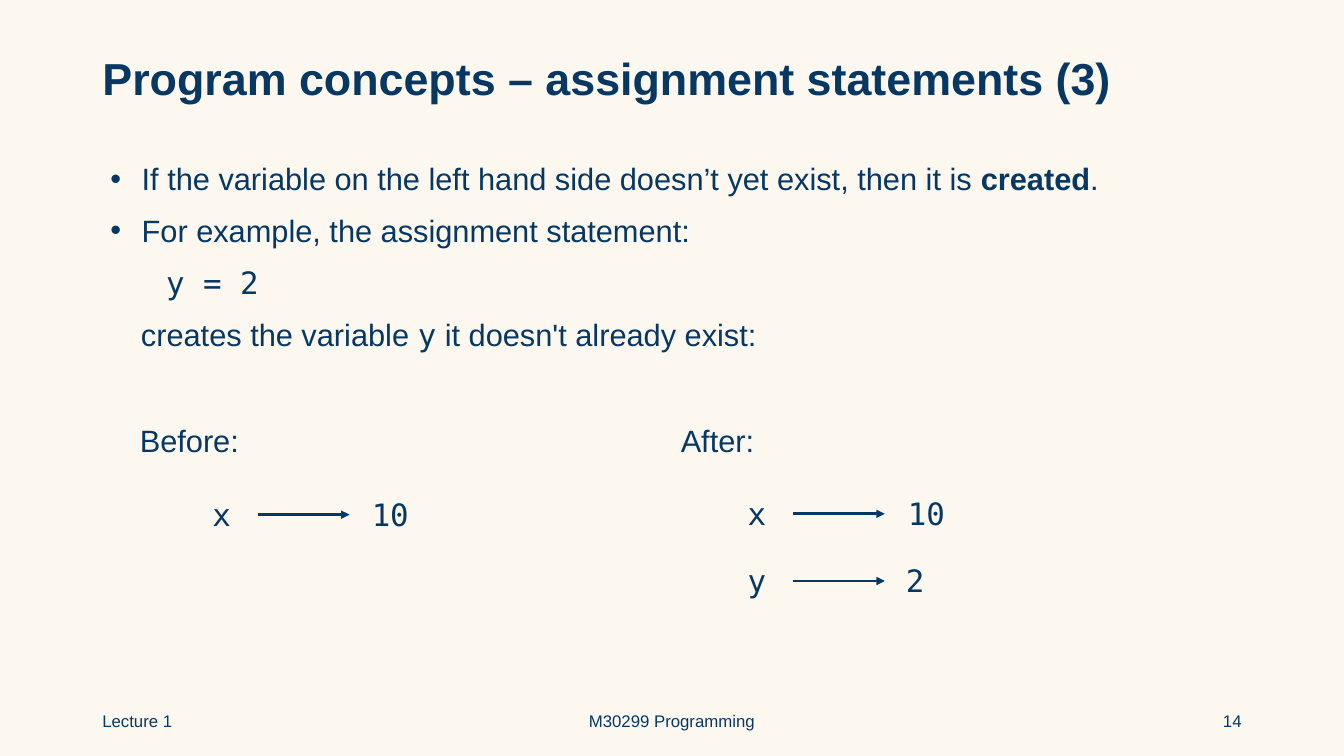
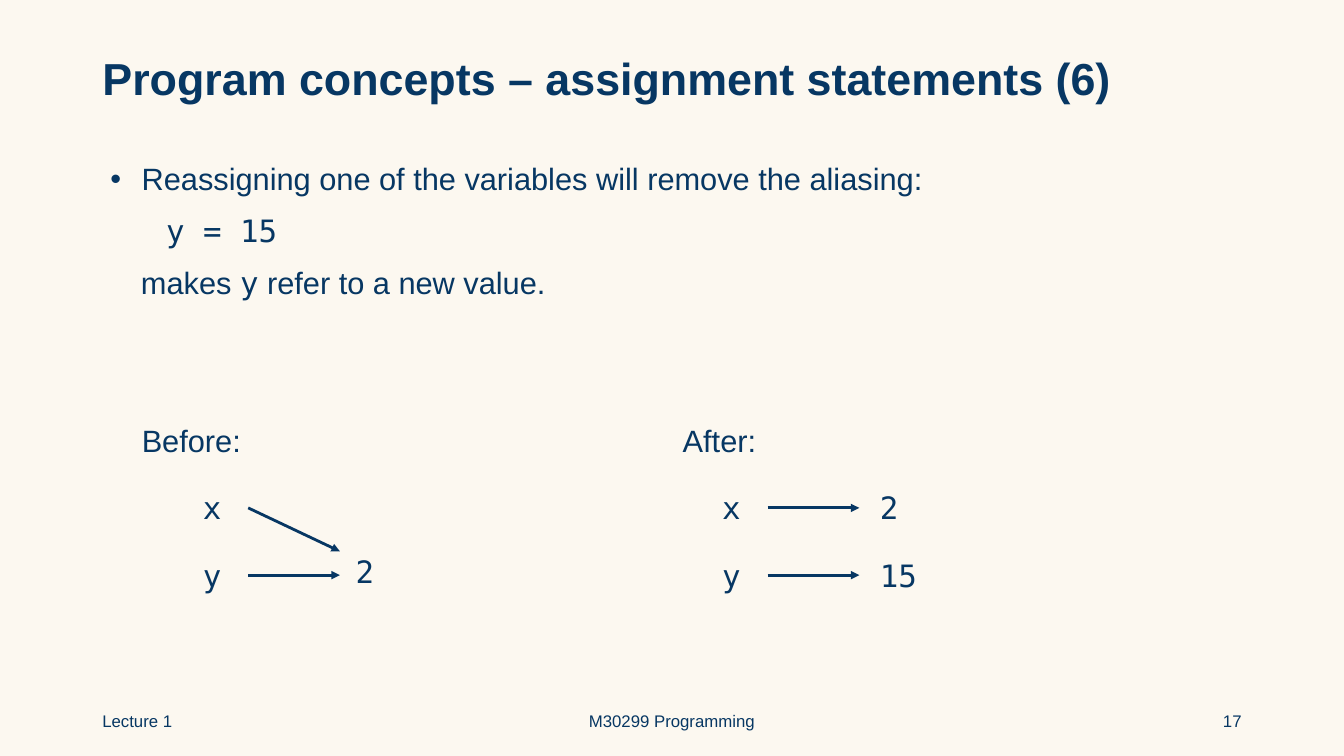
"""Builds two lecture slides on assignment statements."""
from lxml.etree import SubElement
from pptx import Presentation
from pptx.dml.color import RGBColor
from pptx.enum.shapes import MSO_CONNECTOR
from pptx.enum.text import MSO_ANCHOR, MSO_AUTO_SIZE, PP_ALIGN
from pptx.oxml.ns import qn
from pptx.util import Pt

NAVY, CREAM = "073763", "FCF8F0"
SANS, MONO = "Arial", "DejaVu Sans Mono"
TEXT_SIZE = 22
TITLE_BOX = (66, 29, 828, 57)
BODY_BOX = (66, 108, 828, 378)
FOOTER_TOP, FOOTER_HEIGHT = 500.4, 28.8
LABEL_TOP, ROW_GAP = 298, 48
TERM_WIDTH, TERM_HEIGHT = 86.4, 33.8
ARROW_OFFSET, ARROW_LENGTH, ARROW_DROP = 39.5, 65.5, 17

INDENTS = {"bullet": (28, -22.3), "code": (45.5, 0), "plain": (27.5, 0)}

SLIDES = [
    {
        "title": "Program concepts – assignment statements (3)",
        "number": "14",
        "body": [
            ("bullet", [("If the variable on the left hand side doesn’t yet exist, then it is ", SANS, False),
                        ("created", SANS, True), (".", SANS, False)]),
            ("bullet", [("For example, the assignment statement:", SANS, False)]),
            ("code", [("y = 2", MONO, False)]),
            ("plain", [("creates the variable ", SANS, False), ("y", MONO, False),
                       (" it doesn't already exist:", SANS, False)]),
        ],
        "states": [
            {"label": "Before:", "label_left": 92.8, "left": 144.7, "top": 350.6,
             "names": ["x"], "values": [("10", 113.8, 0)], "slopes": [0]},
            {"label": "After:", "label_left": 479.2, "left": 527, "top": 350,
             "names": ["x", "y"], "values": [("10", 114.5, 0), ("2", 113, ROW_GAP)], "slopes": [0, 0]},
        ],
    },
    {
        "title": "Program concepts – assignment statements (6)",
        "number": "17",
        "body": [
            ("bullet", [("Reassigning one of the variables will remove the aliasing:", SANS, False)]),
            ("code", [("y = 15", MONO, False)]),
            ("plain", [("makes ", SANS, False), ("y", MONO, False),
                       (" refer to a new value.", SANS, False)]),
        ],
        "states": [
            {"label": "Before:", "label_left": 94.2, "left": 137.8, "top": 345.8,
             "names": ["x", "y"], "values": [("2", 109.2, 45.2)], "slopes": [31, 0]},
            {"label": "After:", "label_left": 480.6, "left": 508.8, "top": 345.8,
             "names": ["x", "y"], "values": [("2", 112.6, 0), ("15", 112.6, ROW_GAP)], "slopes": [0, 0]},
        ],
    },
]


def colour(value):
    """Turn a hex string into a colour."""
    return RGBColor.from_string(value)


def add_run(paragraph, text, size=TEXT_SIZE, font=SANS, bold=False):
    """Append one formatted run."""
    run = paragraph.add_run()
    run.text = text
    run.font.size, run.font.name, run.font.bold = Pt(size), font, bold
    run.font.color.rgb = colour(NAVY)


def place(placeholder, box, anchor):
    """Move a placeholder and fix its text frame."""
    placeholder.left, placeholder.top, placeholder.width, placeholder.height = map(Pt, box)
    frame = placeholder.text_frame
    frame.auto_size, frame.vertical_anchor = MSO_AUTO_SIZE.NONE, anchor
    return frame


def add_text(slide, box, text, size=TEXT_SIZE, font=SANS, align=PP_ALIGN.LEFT, anchor=MSO_ANCHOR.TOP):
    """Add a one-line text box."""
    frame = slide.shapes.add_textbox(*map(Pt, box)).text_frame
    frame.word_wrap, frame.vertical_anchor = True, anchor
    frame.paragraphs[0].alignment = align
    add_run(frame.paragraphs[0], text, size, font)


def add_title(slide, text):
    """Fill the title placeholder."""
    heading = place(slide.shapes.title, TITLE_BOX, MSO_ANCHOR.MIDDLE).paragraphs[0]
    heading.alignment, heading.line_spacing = PP_ALIGN.LEFT, 0.9
    add_run(heading, text, 32, bold=True)


def add_body(slide, lines):
    """Fill the body placeholder with bullets, code and plain lines."""
    frame = place(slide.placeholders[1], BODY_BOX, MSO_ANCHOR.TOP)
    for index, (style, runs) in enumerate(lines):
        line = frame.add_paragraph() if index else frame.paragraphs[0]
        line.line_spacing, line.space_before = 1.1, Pt(8 if index else 0)
        properties = line._p.get_or_add_pPr()
        margin, indent = INDENTS[style]
        properties.set("marL", str(Pt(margin)))
        properties.set("indent", str(Pt(indent)))
        if style == "bullet":
            bullet_colour = SubElement(properties, qn("a:buClr"))
            SubElement(bullet_colour, qn("a:srgbClr"), val=NAVY)
            SubElement(properties, qn("a:buFont"), typeface=SANS)
            SubElement(properties, qn("a:buChar"), char="•")
        else:
            SubElement(properties, qn("a:buNone"))
        for text, font, bold in runs:
            add_run(line, text, font=font, bold=bold)


def add_arrow(slide, left, top, slope):
    """Draw an arrow from a name towards its value."""
    arrow = slide.shapes.add_connector(
        MSO_CONNECTOR.STRAIGHT, Pt(left), Pt(top), Pt(left + ARROW_LENGTH), Pt(top + slope))
    arrow.line.color.rgb, arrow.line.width = colour(NAVY), Pt(2)
    properties = arrow._element.spPr
    SubElement(properties.find(qn("a:ln")), qn("a:tailEnd"), type="triangle")
    SubElement(properties, qn("a:effectLst"))


def add_state(slide, state):
    """Draw the variables and the values they refer to."""
    left, top = state["left"], state["top"]
    add_text(slide, (state["label_left"], LABEL_TOP, 144, TERM_HEIGHT), state["label"])
    for row, (name, slope) in enumerate(zip(state["names"], state["slopes"])):
        row_top = top + row * ROW_GAP
        add_text(slide, (left, row_top, TERM_WIDTH, TERM_HEIGHT), name, font=MONO)
        add_arrow(slide, left + ARROW_OFFSET, row_top + ARROW_DROP, slope)
    for value, across, down in state["values"]:
        add_text(slide, (left + across, top + down, TERM_WIDTH, TERM_HEIGHT), value, font=MONO)


def add_footer(slide, number):
    """Add the lecture, course and page number."""
    for text, left, width, align in [
        ("Lecture 1", 66, 216, PP_ALIGN.LEFT),
        ("M30299 Programming", 318, 324, PP_ALIGN.CENTER),
        (number, 678, 216, PP_ALIGN.RIGHT),
    ]:
        add_text(slide, (left, FOOTER_TOP, width, FOOTER_HEIGHT), text, 12,
                 align=align, anchor=MSO_ANCHOR.MIDDLE)


def main():
    """Build and save the presentation."""
    deck = Presentation()
    deck.slide_width, deck.slide_height = Pt(960), Pt(540)
    backdrop = deck.slide_master.background.fill
    backdrop.solid()
    backdrop.fore_color.rgb = colour(CREAM)
    for content in SLIDES:
        slide = deck.slides.add_slide(deck.slide_layouts[1])
        add_title(slide, content["title"])
        add_body(slide, content["body"])
        add_footer(slide, content["number"])
        for state in content["states"]:
            add_state(slide, state)
    deck.save("out.pptx")


if __name__ == "__main__":
    main()
